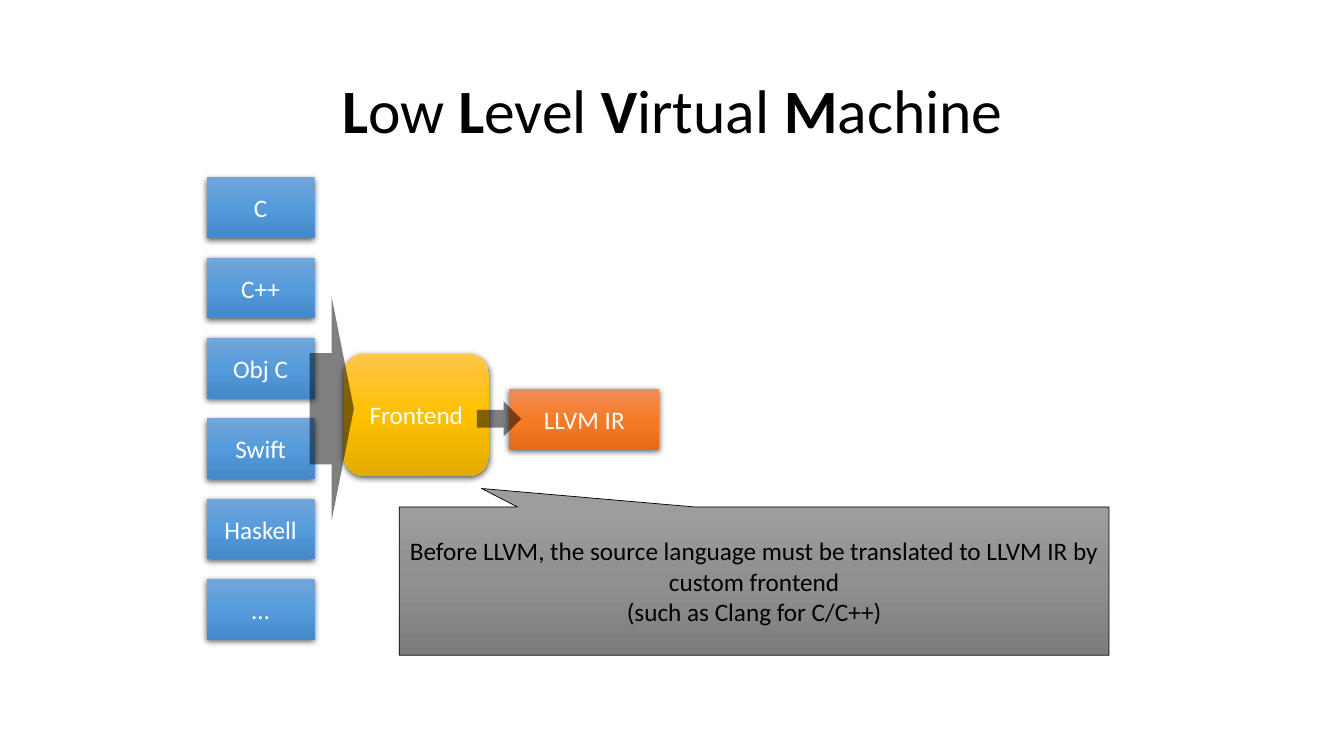
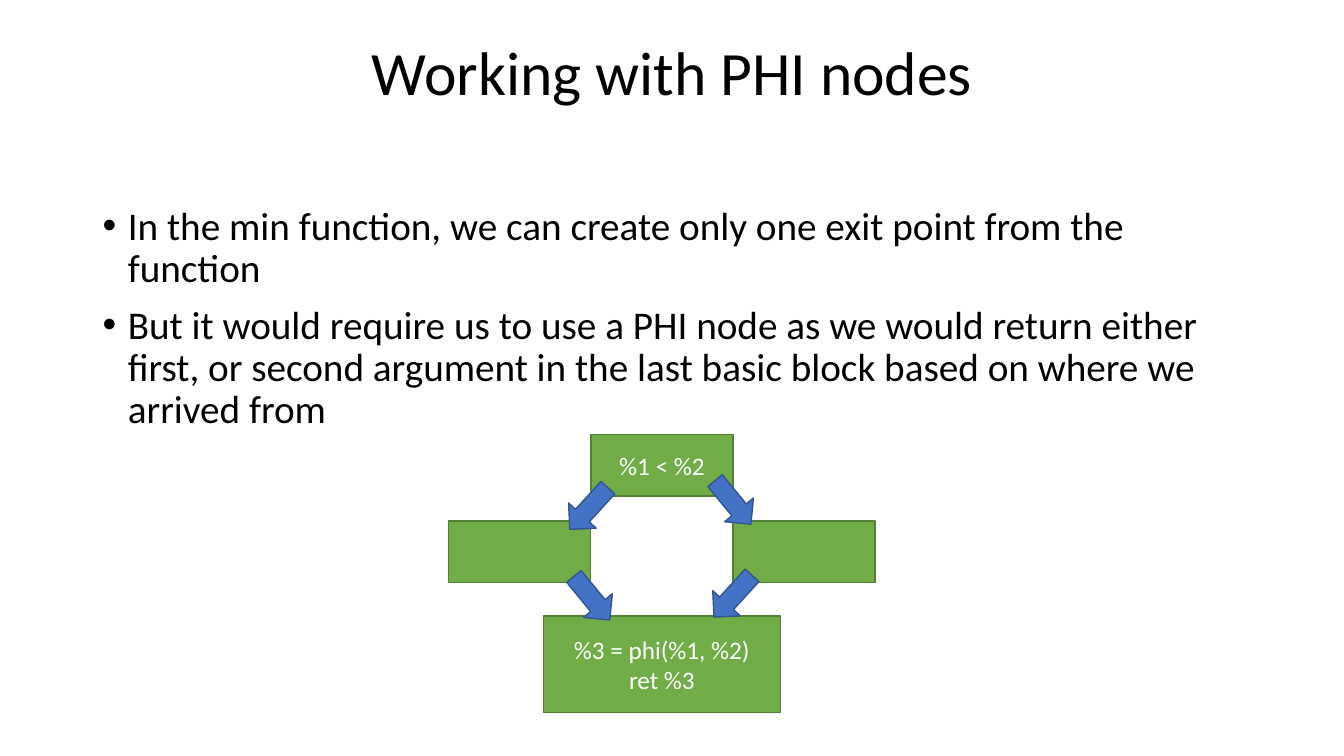
from lxml.etree import SubElement
from pptx import Presentation
from pptx.dml.color import RGBColor
from pptx.enum.shapes import MSO_SHAPE
from pptx.enum.text import MSO_ANCHOR, PP_ALIGN
from pptx.oxml.ns import qn
from pptx.util import Inches, Pt

FONT = "Calibri"
BLACK = RGBColor(0, 0, 0)
WHITE = RGBColor(255, 255, 255)
GREEN = RGBColor(0x70, 0xAD, 0x47)
GREEN_EDGE = RGBColor(0x53, 0x80, 0x35)
BLUE = RGBColor(0x44, 0x72, 0xC4)
BLUE_EDGE = RGBColor(0x32, 0x54, 0x91)


def shades(*codes):
    return [RGBColor.from_string(code) for code in codes]


BLUE_SHADES = shades("71A6DB", "559BDB", "448ACA")
GOLD_SHADES = shades("FFC64B", "FFC000", "E3AB00")
ORANGE_SHADES = shades("F18C57", "F67B28", "E56C19")
GRAY_SHADES = shades("9D9D9D", "909090", "7C7C7C")

# Titles are (text, bold) pieces
LLVM_TITLE = [("L", True), ("ow ", False), ("L", True), ("evel ", False),
              ("V", True), ("irtual ", False), ("M", True), ("achine", False)]
LANGUAGES = ["C", "C++", "Obj C", "Swift", "Haskell", "…"]
CALLOUT = [
    "Before LLVM, the source language must be translated to LLVM IR by custom frontend",
    "(such as Clang for C/C++)",
]
PIPELINE_ARROWS = [(4.73, 3.98, 0.44, 0.35), (3.07, 2.95, 0.44, 2.21)]

PHI_TITLE = [("Working with PHI nodes", False)]
PHI_BULLETS = [
    "In the min function, we can create only one exit point from the function",
    "But it would require us to use a PHI node as we would return either first, "
    "or second argument in the last basic block based on where we arrived from",
]
BLOCK_WIDTH, BLOCK_HEIGHT = 1.41, 0.61
BRANCH_LEFT, BRANCH_TOP = 4.45, 5.17
BASIC_BLOCKS = [
    ("%1 < %2", (BRANCH_LEFT + BLOCK_WIDTH, 4.31, BLOCK_WIDTH, BLOCK_HEIGHT)),
    ("", (BRANCH_LEFT, BRANCH_TOP, BLOCK_WIDTH, BLOCK_HEIGHT)),
    ("", (BRANCH_LEFT + 2 * BLOCK_WIDTH, BRANCH_TOP, BLOCK_WIDTH, BLOCK_HEIGHT)),
    ("%3 = phi(%1, %2)\vret %3", (5.39, 6.11, 2.35, 0.96)),
]
DOWN_RIGHT, DOWN_LEFT = 50.6, 132.4
FLOW_ARROWS = [(6.99, 4.8, DOWN_RIGHT), (5.59, 5.75, DOWN_RIGHT),
               (5.56, 4.86, DOWN_LEFT), (6.99, 5.73, DOWN_LEFT)]


def style_runs(paragraph, size, color):
    for run in paragraph.runs:
        run.font.name = FONT
        run.font.size = Pt(size)
        run.font.color.rgb = color


def add_textbox(slide, box):
    text_frame = slide.shapes.add_textbox(*map(Inches, box)).text_frame
    text_frame.word_wrap = True
    return text_frame


def add_title(slide, pieces, top):
    text_frame = add_textbox(slide, (0.92, top, 11.5, 1.45))
    text_frame.vertical_anchor = MSO_ANCHOR.MIDDLE
    paragraph = text_frame.paragraphs[0]
    paragraph.alignment = PP_ALIGN.CENTER
    paragraph.line_spacing = 0.9
    for text, bold in pieces:
        run = paragraph.add_run()
        run.text = text
        run.font.bold = bold
    style_runs(paragraph, 44, BLACK)


def add_bullets(slide, items, box):
    text_frame = add_textbox(slide, box)
    text_frame.text = "\n".join(items)
    for index, paragraph in enumerate(text_frame.paragraphs):
        properties = paragraph._p.get_or_add_pPr()
        properties.set("marL", str(Inches(0.25)))
        properties.set("indent", str(-Inches(0.25)))
        SubElement(properties, qn("a:buFont"), typeface="Arial")
        SubElement(properties, qn("a:buChar"), char="•")
        paragraph.line_spacing = 0.9
        if index:
            paragraph.space_before = Pt(10)
        style_runs(paragraph, 28, BLACK)


def add_shape(slide, kind, box, lines=(), text_color=WHITE):
    """Add an unfilled, unlined shape with centred 18 pt text."""
    shape = slide.shapes.add_shape(kind, *map(Inches, box))
    shape.shadow.inherit = False
    shape.line.fill.background()
    if lines:
        shape.text_frame.text = "\n".join(lines)
        for paragraph in shape.text_frame.paragraphs:
            paragraph.alignment = PP_ALIGN.CENTER
            style_runs(paragraph, 18, text_color)
    return shape


def fill_solid(shape, color):
    shape.fill.solid()
    shape.fill.fore_color.rgb = color


def outline(shape, color, width):
    shape.line.color.rgb = color
    shape.line.width = Pt(width)


def fill_gradient(shape, colors):
    """Fill from top to bottom with evenly spaced colours."""
    shape.fill.gradient()
    shape.fill.gradient_angle = 270
    stops = shape._element.spPr.find(".//" + qn("a:gsLst"))
    stops.clear()
    for index, color in enumerate(colors):
        position = 100000 * index // (len(colors) - 1)
        stop = SubElement(stops, qn("a:gs"), pos=str(position))
        SubElement(stop, qn("a:srgbClr"), val=str(color))


def set_alpha(color_element, percent):
    SubElement(color_element, qn("a:alpha"), val=str(percent * 1000))


def add_shadow(shape):
    effects = shape._element.spPr.find(qn("a:effectLst"))
    shadow = SubElement(effects, qn("a:outerShdw"), blurRad=str(Pt(4.5)),
                        dist=str(Pt(1.5)), dir="5400000", algn="ctr", rotWithShape="0")
    set_alpha(SubElement(shadow, qn("a:srgbClr"), val=str(BLACK)), 63)


def add_stage(slide, kind, box, text, colors):
    stage = add_shape(slide, kind, box, [text])
    fill_gradient(stage, colors)
    add_shadow(stage)


def build_llvm_slide(slide):
    add_title(slide, LLVM_TITLE, 0.4)
    process = MSO_SHAPE.FLOWCHART_PROCESS
    for row, language in enumerate(LANGUAGES):
        add_stage(slide, process, (2.05, 1.76 + 0.797 * row, 1.07, 0.6),
                  language, BLUE_SHADES)
    add_stage(slide, MSO_SHAPE.FLOWCHART_ALTERNATE_PROCESS, (3.41, 3.51, 1.44, 1.21),
              "Frontend", GOLD_SHADES)
    add_stage(slide, process, (5.05, 3.86, 1.49, 0.6), "LLVM IR", ORANGE_SHADES)
    for box in PIPELINE_ARROWS:
        arrow = add_shape(slide, MSO_SHAPE.RIGHT_ARROW, box)
        fill_solid(arrow, BLACK)
        set_alpha(arrow._element.spPr.find(qn("a:solidFill"))[0], 50)
    callout = add_shape(slide, MSO_SHAPE.RECTANGULAR_CALLOUT, (3.96, 5.03, 7.04, 1.47),
                        CALLOUT, BLACK)
    callout.adjustments[0] = -0.384
    callout.adjustments[1] = -0.625
    fill_gradient(callout, GRAY_SHADES)
    outline(callout, BLACK, 0.5)


def build_phi_slide(slide):
    add_title(slide, PHI_TITLE, 0.02)
    add_bullets(slide, PHI_BULLETS, (0.92, 2, 11.5, 4.76))
    for text, box in BASIC_BLOCKS:
        block = add_shape(slide, MSO_SHAPE.RECTANGLE, box, [text] if text else [])
        fill_solid(block, GREEN)
        outline(block, GREEN_EDGE, 1)
    for left, top, rotation in FLOW_ARROWS:
        arrow = add_shape(slide, MSO_SHAPE.RIGHT_ARROW, (left, top, 0.56, 0.37))
        arrow.rotation = rotation
        fill_solid(arrow, BLUE)
        outline(arrow, BLUE_EDGE, 1)


def main():
    presentation = Presentation()
    presentation.slide_width = Inches(13.33)
    presentation.slide_height = Inches(7.5)
    blank_layout = presentation.slide_layouts[6]
    for build in (build_llvm_slide, build_phi_slide):
        build(presentation.slides.add_slide(blank_layout))
    presentation.save("out.pptx")


if __name__ == "__main__":
    main()
